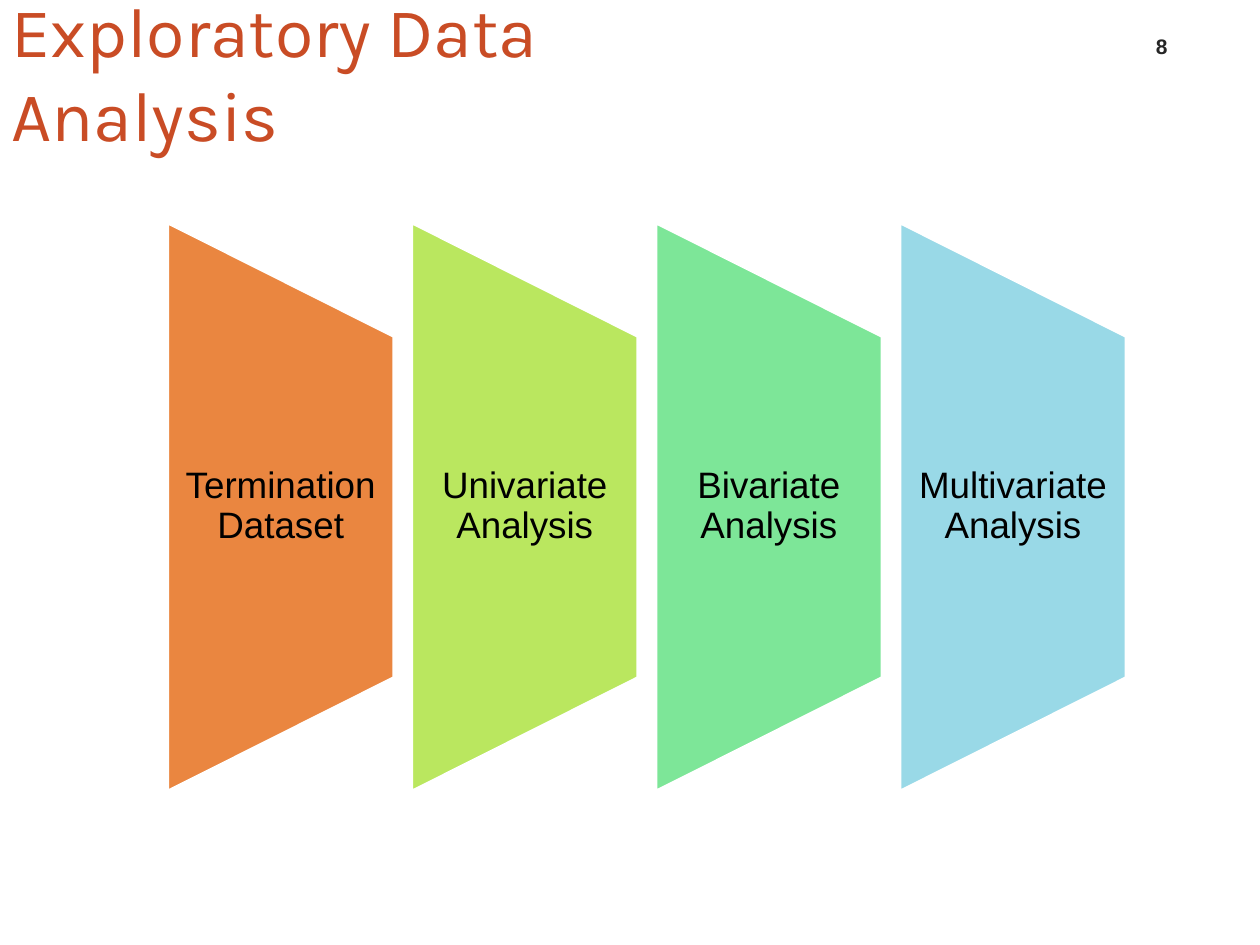
from pptx import Presentation
from pptx.dml.color import RGBColor
from pptx.enum.shapes import MSO_SHAPE as SHAPE
from pptx.enum.text import MSO_ANCHOR as ANCHOR, PP_ALIGN as ALIGN
from pptx.util import Pt

RUST = RGBColor(0xC9, 0x4C, 0x25)
ORANGE = RGBColor(0xEA, 0x86, 0x40)
LIME = RGBColor(0xBA, 0xE7, 0x5F)
GREEN = RGBColor(0x7D, 0xE6, 0x98)
SKY = RGBColor(0x99, 0xD9, 0xE7)
BLACK = RGBColor(0, 0, 0)
DARK = RGBColor(0x26, 0x26, 0x26)
WHITE = RGBColor(0xFF, 0xFF, 0xFF)


def write(tf, text, *, font, size, color, bold=False, align=ALIGN.LEFT,
          anchor=ANCHOR.MIDDLE, inset=(0, 3.6), line_spacing=None):
    """Fill a text frame with one formatted paragraph."""
    tf.word_wrap = True
    tf.vertical_anchor = anchor
    tf.margin_left = tf.margin_right = Pt(inset[0])
    tf.margin_top = tf.margin_bottom = Pt(inset[1])
    p = tf.paragraphs[0]
    p.alignment = align
    if line_spacing:
        p.line_spacing = line_spacing
    r = p.add_run()
    r.text = text
    r.font.name, r.font.size, r.font.bold = font, Pt(size), bold
    r.font.color.rgb = color


class Deck:
    TITLE_FONT, BODY_FONT = "Karla", "Arial"

    def __init__(self, slide):
        self.s = slide

    def title(self, text, x, y, w, h):
        sp = self.s.shapes.title
        sp.left, sp.top, sp.width, sp.height = Pt(x), Pt(y), Pt(w), Pt(h)
        write(sp.text_frame, text, font=self.TITLE_FONT, size=40, color=RUST)

    def text(self, text, x, y, w, h, **fmt):
        sp = self.s.shapes.add_textbox(Pt(x), Pt(y), Pt(w), Pt(h))
        write(sp.text_frame, text, font=self.BODY_FONT, align=ALIGN.CENTER, **fmt)

    def panel(self, text, x, y, w, h, fill):
        # The preset is drawn lying down, then turned about its centre
        sp = self.s.shapes.add_shape(
            SHAPE.FLOWCHART_MANUAL_OPERATION,
            Pt(x + (w - h) / 2), Pt(y + (h - w) / 2), Pt(h), Pt(w))
        sp.rotation = 270
        sp.shadow.inherit = False
        sp.fill.solid()
        sp.fill.fore_color.rgb = fill
        sp.line.color.rgb = WHITE
        sp.line.width = Pt(2)
        # The label fills the middle three fifths of the panel
        self.text(text, x, y + h / 5, w, h * 3 / 5, size=21, color=BLACK,
                  inset=(9, 0), line_spacing=0.9)


def main():
    prs = Presentation()
    prs.slide_width, prs.slide_height = Pt(720), Pt(540)
    deck = Deck(prs.slides.add_slide(prs.slide_layouts[5]))

    # Title and page number
    deck.title("Exploratory Data Analysis", 6.5, 19.5, 456, 43)
    deck.text("8", 644, 13.2, 39.6, 23.8, size=12, color=DARK, bold=True,
              anchor=ANCHOR.BOTTOM, inset=(7.2, 3.6))

    # Row of analysis stages
    stages = [("Termination Dataset", ORANGE), ("Univariate Analysis", LIME),
              ("Bivariate Analysis", GREEN), ("Multivariate Analysis", SKY)]
    left, pitch = 95.6, 139.5
    for i, (label, fill) in enumerate(stages):
        deck.panel(label, left + i * pitch, 127, 129.6, 325.4, fill)

    prs.save("out.pptx")


if __name__ == "__main__":
    main()
